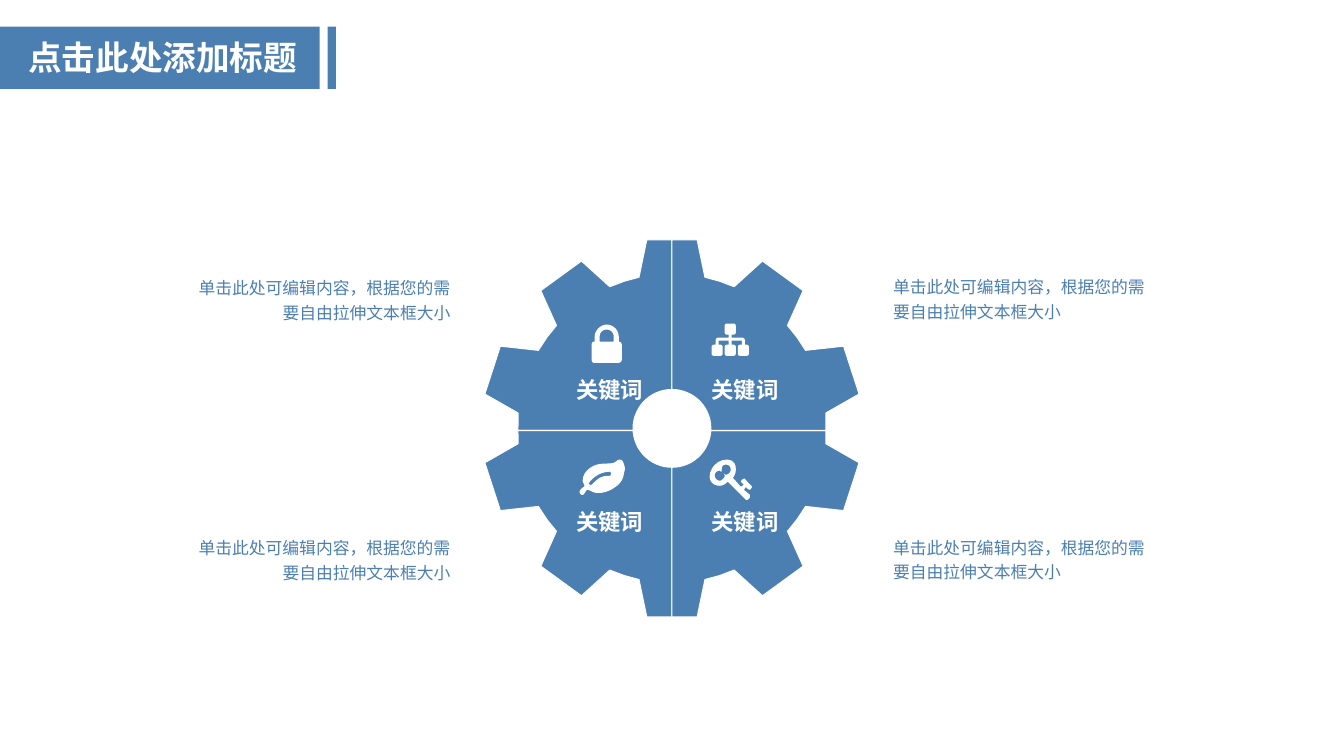
from math import cos, radians, sin

from pptx import Presentation
from pptx.dml.color import RGBColor
from pptx.enum import shapes, text
from pptx.util import Pt

BLUE = RGBColor(0x4B, 0x7F, 0xB1)
WHITE = RGBColor(0xFF, 0xFF, 0xFF)
FONT = "Arial"

CENTER_X, CENTER_Y, CUT_Y = 480, 306, 307.5
HUB, ROOT, TIP, TIP_AXIS = 27.8, 110.5, 135.9, 134.7
TOOTH_PITCH, TIP_HALF, ROOT_HALF = 36, 7.6, 12.3
ICON_UNIT = 0.72

TITLE = "点击此处添加标题"
KEYWORD = "关键词"
DETAIL = "单击此处可编辑内容，根据您的需要自由拉伸文本框大小"


def node(x, y):
    """Outline of one rounded box of the hierarchy icon."""
    return [(x + 11, y + 9), (x + 11, y + 10, x + 10, y + 11, x + 9, y + 11),
            (x + 2, y + 11), (x + 1, y + 11, x, y + 10, x, y + 9),
            (x, y + 2), (x, y + 1, x + 1, y, x + 2, y),
            (x + 9, y), (x + 10, y, x + 11, y + 1, x + 11, y + 2)]


# Each contour is a start point, then lines (x, y) or cubic curves (two controls, end).
LOCK = [
    [(30, 35), (30, 36, 29, 38, 27, 38), (2, 38), (1, 38, 0, 36, 0, 35), (0, 20),
     (0, 19, 1, 17, 2, 17), (3, 17), (3, 12), (3, 6, 9, 0, 15, 0),
     (22, 0, 27, 6, 27, 12), (27, 17), (29, 17, 30, 19, 30, 20)],
    [(22, 17), (22, 12), (22, 8, 19, 5, 15, 5), (11, 5, 8, 8, 8, 12), (8, 17)],
]
HIERARCHY = [
    node(13, 0), *[node(x, 21) for x in (0, 13, 26)],
    [(17, 11), (20, 11), (20, 14), (30, 14), (32, 14, 33, 15, 33, 17), (33, 21),
     (30, 21), (30, 17), (20, 17), (20, 21), (17, 21), (17, 17), (7, 17), (7, 21),
     (4, 21), (4, 17), (4, 15, 5, 14, 7, 14), (17, 14)],
]
LEAF = [
    [(44, 14), (43, 22, 38, 26, 31, 30), (27, 32, 23, 33, 20, 33),
     (17, 33, 15, 33, 13, 32), (11, 31, 9, 30, 8, 30), (6, 30, 5, 35, 3, 35),
     (1, 35, 1, 34, 0, 33), (0, 33, 0, 32, 0, 32), (0, 29, 5, 27, 5, 26),
     (5, 26, 4, 24, 4, 24), (4, 23, 3, 22, 3, 21), (3, 13, 10, 7, 17, 5),
     (22, 3, 33, 5, 36, 2), (38, 0, 39, 0, 41, 0), (43, 0, 45, 7, 45, 9),
     (45, 11, 44, 12, 44, 14)],
    [(30, 12), (22, 12, 15, 16, 10, 22), (10, 23, 9, 23, 9, 24),
     (9, 24, 10, 25, 11, 25), (11, 25, 12, 25, 12, 25), (13, 24, 15, 22, 15, 22),
     (20, 17, 24, 16, 30, 16), (31, 16, 31, 15, 31, 14), (31, 13, 31, 12, 30, 12)],
]
KEY = [
    [(40, 30), (39, 30, 36, 28, 36, 27), (34, 30), (40, 35), (40, 36, 40, 36, 40, 37),
     (40, 38, 38, 40, 37, 40), (36, 40, 36, 40, 35, 39), (18, 22),
     (16, 24, 13, 26, 10, 26), (4, 26, 0, 22, 0, 17), (0, 8, 8, 0, 17, 0),
     (22, 0, 26, 3, 26, 9), (26, 13, 25, 16, 23, 18), (31, 27), (34, 25),
     (33, 24, 31, 22, 31, 22), (31, 21, 33, 19, 34, 19), (34, 19, 34, 19, 35, 19),
     (35, 20, 42, 26, 42, 27), (42, 28, 40, 30, 40, 30)],
    [(16, 5), (13, 5, 12, 7, 12, 10), (12, 10, 12, 11, 12, 12), (11, 12, 10, 11, 10, 11),
     (7, 11, 5, 13, 5, 16), (5, 18, 7, 21, 10, 21), (12, 21, 15, 18, 15, 16),
     (15, 15, 15, 15, 14, 14), (15, 14, 15, 15, 16, 15), (19, 15, 21, 12, 21, 10),
     (21, 7, 19, 5, 16, 5)],
]


def flatten(contour, left, top, steps=6):
    """Turn a contour in icon units into slide points, sampling its curves."""
    points = [contour[0]]
    for segment in contour[1:]:
        if len(segment) == 2:
            points.append(segment)
            continue
        x0, y0 = points[-1]
        x1, y1, x2, y2, x3, y3 = segment
        for t in (i / steps for i in range(1, steps + 1)):
            a, b, c, d = (1 - t) ** 3, 3 * t * (1 - t) ** 2, 3 * t * t * (1 - t), t ** 3
            points.append((a * x0 + b * x1 + c * x2 + d * x3,
                           a * y0 + b * y1 + c * y2 + d * y3))
    return [(left + x * ICON_UNIT, top + y * ICON_UNIT) for x, y in points]


def gear_quarter(side, half):
    """Outline of a quarter: side -1 left, 1 right; half -1 upper, 1 lower."""
    def polar(radius, degrees):
        angle = radians(degrees)
        return (CENTER_X + side * radius * sin(angle),
                CENTER_Y + half * radius * cos(angle))

    profile = [(ROOT, -ROOT_HALF), (TIP, -TIP_HALF), (TIP, TIP_HALF),
               (ROOT, ROOT_HALF), (ROOT, TOOTH_PITCH / 2)]
    rim = [polar(radius, tooth * TOOTH_PITCH + offset)
           for tooth in range(3) for radius, offset in profile
           if 0 < tooth * TOOTH_PITCH + offset < 90]
    hub = [polar(HUB, degrees) for degrees in range(0, 85, 6)]
    cut = [(CENTER_X + side * radius, CUT_Y) for radius in (HUB, ROOT - 0.5)]
    return hub + cut + rim[::-1] + [polar(TIP_AXIS, 0)]


class Slide:
    def __init__(self, deck):
        self.page = deck.slides.add_slide(deck.slide_layouts[5])
        self.shapes = self.page.shapes

    def paint(self, shape, fill, edge=None):
        shape.shadow.inherit = False
        shape.fill.solid()
        shape.fill.fore_color.rgb = fill
        if edge is None:
            shape.line.fill.background()
        else:
            shape.line.color.rgb = edge
            shape.line.width = Pt(0.75)
        return shape

    def bar(self, left, top, width, height):
        return self.paint(self.shapes.add_shape(
            shapes.MSO_SHAPE.RECTANGLE, Pt(left), Pt(top), Pt(width), Pt(height)), BLUE)

    def outline(self, contours, fill, edge=None):
        contours = [[(Pt(x), Pt(y)) for x, y in contour] for contour in contours]
        builder = self.shapes.build_freeform(*contours[0][0], scale=1.0)
        for number, contour in enumerate(contours):
            if number:
                builder.move_to(*contour[0])
            builder.add_line_segments(contour[1:], close=True)
        return self.paint(builder.convert_to_shape(), fill, edge)

    def set_text(self, frame, words, size, color, align, bold=False):
        frame.word_wrap = True
        frame.auto_size = text.MSO_AUTO_SIZE.SHAPE_TO_FIT_TEXT
        frame.vertical_anchor = text.MSO_ANCHOR.TOP
        paragraph = frame.paragraphs[0]
        paragraph.alignment = align
        run = paragraph.add_run()
        run.text = words
        run.font.name, run.font.size, run.font.bold = FONT, Pt(size), bold
        run.font.color.rgb = color
        return paragraph

    def title(self, words, left, top, width, height):
        title = self.shapes.title
        title.left, title.top, title.width, title.height = map(Pt, (left, top, width, height))
        title.element.getparent().append(title.element)  # bring in front of the bars
        self.set_text(title.text_frame, words, 24, WHITE, text.PP_ALIGN.LEFT, True)

    def label(self, words, left, top, width, height, *style):
        box = self.shapes.add_textbox(Pt(left), Pt(top), Pt(width), Pt(height))
        frame = box.text_frame
        frame.margin_left = frame.margin_right = frame.margin_top = frame.margin_bottom = 0
        self.set_text(frame, words, *style).line_spacing = 1.2


def main():
    deck = Presentation()
    deck.slide_width, deck.slide_height = Pt(960), Pt(540)
    slide = Slide(deck)

    banner = [slide.bar(234, 19, 6, 44.6), slide.bar(0, 19, 228.4, 44.6)]
    slide.shapes.add_group_shape(banner)
    slide.title(TITLE, 13, 23, 226.8, 36)

    for side, half in ((-1, -1), (-1, 1), (1, 1), (1, -1)):
        slide.outline([gear_quarter(side, half)], BLUE, WHITE)

    for icon, left, top in ((LOCK, 422.6, 231.8), (LEAF, 414, 328.3),
                            (HIERARCHY, 508.3, 231.1), (KEY, 506.9, 328.3)):
        slide.outline([flatten(contour, left, top) for contour in icon], WHITE)

    for top in (265, 359.3):
        for left in (399.6, 496.1):
            slide.label(KEYWORD, left, top, 72, 21.6, 16, WHITE, text.PP_ALIGN.CENTER, True)

    for left, first_top, align in ((138.2, 195.8, text.PP_ALIGN.RIGHT),
                                   (637.9, 195.1, text.PP_ALIGN.LEFT)):
        for top in (first_top, first_top + 185.8):
            slide.label(DETAIL, left, top, 183.6, 33.1, 12, BLUE, align)

    deck.save("out.pptx")


if __name__ == "__main__":
    main()
